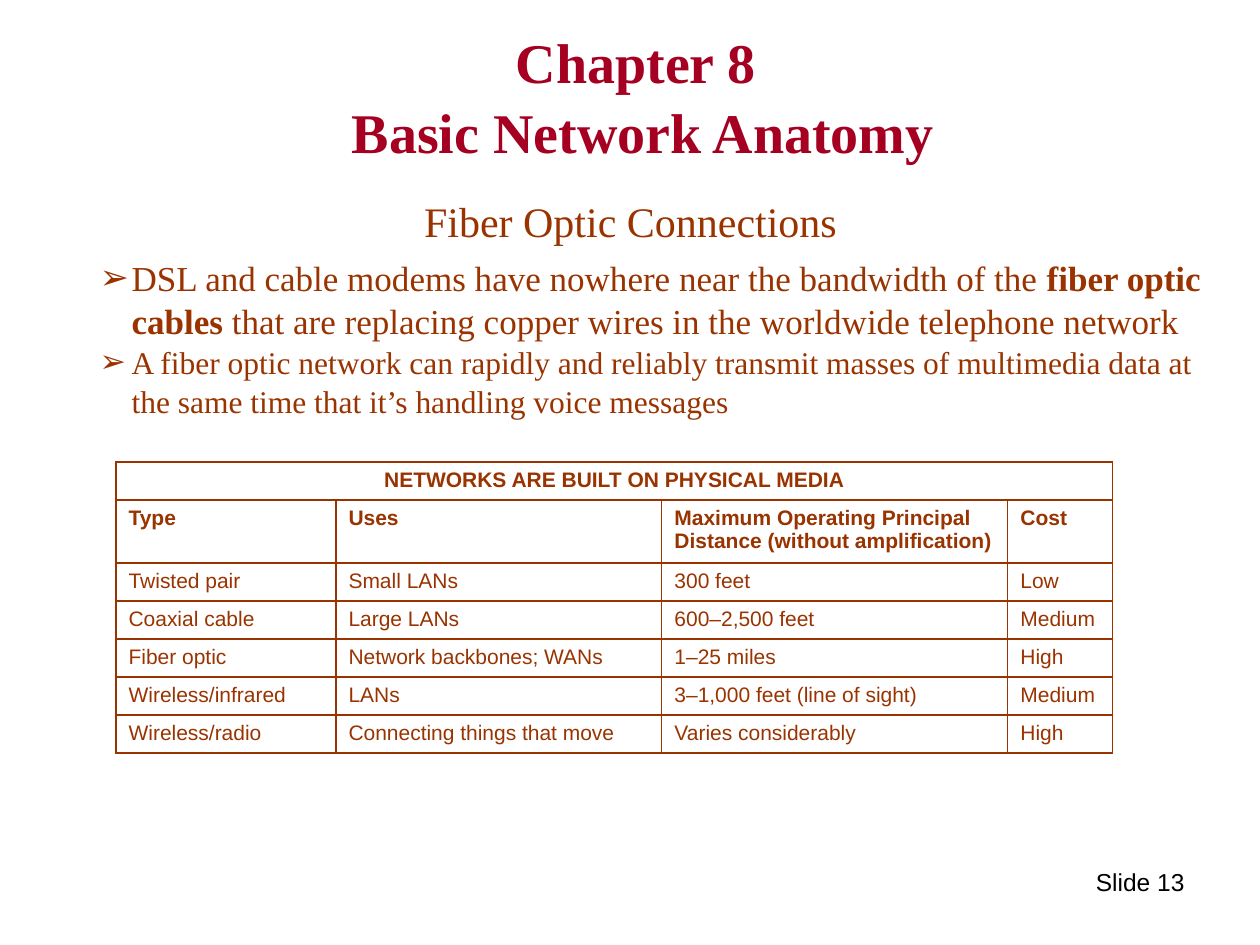
import pptx
import pptx.util
import pptx.dml.color
import pptx.enum.text
import pptx.oxml
import pptx.oxml.ns

RED = pptx.dml.color.RGBColor(0xA5, 0x00, 0x21)
RUST = pptx.dml.color.RGBColor(0x99, 0x33, 0x00)
BLACK = pptx.dml.color.RGBColor(0, 0, 0)
WHITE = pptx.dml.color.RGBColor(255, 255, 255)
ALIGN = pptx.enum.text.PP_ALIGN
ANCHOR = pptx.enum.text.MSO_ANCHOR
SERIF = "Times New Roman"
SANS = "Arial"
SCALE = 914400 / 126


def px(size):
    return round(size * SCALE)


def node(tag, inner="", attrs=""):
    space = pptx.oxml.ns.nsdecls("a")
    return pptx.oxml.parse_xml(f"<a:{tag} {space} {attrs}>{inner}</a:{tag}>")


class Deck:
    def __init__(self):
        self.show = pptx.Presentation()
        self.show.slide_width = px(1260)
        self.show.slide_height = px(945)
        self.slide = self.show.slides.add_slide(self.show.slide_layouts[1])

    def place(self, shape, box):
        shape.left, shape.top, shape.width, shape.height = map(px, box)
        frame = shape.text_frame
        frame.word_wrap = True
        frame.auto_size = pptx.enum.text.MSO_AUTO_SIZE.NONE
        return frame

    def run(self, para, text, face, size, color, bold=False):
        run = para.add_run()
        run.text = text
        font = run.font
        font.name = face
        font.size = pptx.util.Pt(size)
        font.bold = bold
        font.color.rgb = color

    def title(self, box, lines):
        frame = self.place(self.slide.shapes.title, box)
        frame.vertical_anchor = ANCHOR.MIDDLE
        para = frame.paragraphs[0]
        para.alignment = ALIGN.CENTER
        para.line_spacing = 1.04
        for i, line in enumerate(lines):
            if i:
                para.add_line_break()
            self.run(para, line, SERIF, 32, RED, True)

    def body(self, box, head, items):
        frame = self.place(self.slide.placeholders[1], box)
        frame.vertical_anchor = ANCHOR.TOP
        para = frame.paragraphs[0]
        para.alignment = ALIGN.CENTER
        para.line_spacing = 0.8
        para.space_before = pptx.util.Pt(0)
        props = para._p.get_or_add_pPr()
        props.set("marL", str(px(40)))
        props.set("indent", str(px(-40)))
        props.append(node("buNone"))
        self.run(para, head, SERIF, 24, RUST)
        for size, gap, parts in items:
            self.bullet(frame.add_paragraph(), size, gap, parts)

    def bullet(self, para, size, gap, parts):
        para.level = 1
        para.alignment = ALIGN.LEFT
        para.line_spacing = 1.04
        para.space_before = pptx.util.Pt(gap)
        props = para._p.get_or_add_pPr()
        props.set("marL", str(px(87)))
        props.set("indent", str(px(-32)))
        props.append(node("buClr", f'<a:srgbClr val="{RUST}"/>'))
        props.append(node("buFont", attrs=f'typeface="{SANS}"'))
        props.append(node("buChar", attrs='char="➢"'))
        for text, bold in parts:
            self.run(para, text, SERIF, size, RUST, bold)

    def label(self, box, text):
        frame = self.place(self.slide.shapes.add_textbox(0, 0, 0, 0), box)
        para = frame.paragraphs[0]
        para.alignment = ALIGN.RIGHT
        self.run(para, text, SANS, 14, BLACK)

    def border(self, cell):
        props = cell._tc.get_or_add_tcPr()
        fill = f'<a:solidFill><a:srgbClr val="{RUST}"/></a:solidFill>'
        for i, side in enumerate(("lnL", "lnR", "lnT", "lnB")):
            props.insert(i, node(side, fill, 'w="9525"'))

    def table(self, left, top, cols, highs, head, rows):
        box = map(px, (left, top, sum(cols), sum(highs)))
        grid = self.slide.shapes.add_table(len(highs), len(cols), *box).table
        grid.first_row = False
        grid.horz_banding = False
        for col, wide in zip(grid.columns, cols):
            col.width = px(wide)
        for row, high in zip(grid.rows, highs):
            row.height = px(high)
        grid.cell(0, 0).merge(grid.cell(0, len(cols) - 1))
        for cell in grid.iter_cells():
            cell.fill.solid()
            cell.fill.fore_color.rgb = WHITE
            self.border(cell)
        para = grid.cell(0, 0).text_frame.paragraphs[0]
        para.alignment = ALIGN.CENTER
        self.run(para, head, SANS, 12, RUST, True)
        for i, row in enumerate(rows, 1):
            for j, text in enumerate(row):
                para = grid.cell(i, j).text_frame.paragraphs[0]
                self.run(para, text, SANS, 12, RUST, i == 1)


def main():
    deck = Deck()
    deck.label((903, 861, 294, 65), "Slide 13")
    deck.title((53, 0, 1166, 189), ("Chapter 8", " Basic Network Anatomy"))
    deck.body((32, 199, 1197, 222), "Fiber Optic Connections", [
        (20, 5, [
            ("DSL and cable modems have nowhere near the bandwidth of the ", False),
            ("fiber optic cables", True),
            (" that are replacing copper wires in the worldwide telephone network", False),
        ]),
        (18, 0, [
            ("A fiber optic network can rapidly and reliably transmit masses of "
             "multimedia data at the same time that it’s handling voice messages", False),
        ]),
    ])
    deck.table(
        116, 462, (220, 326, 346, 105), (38, 63) + (38,) * 5,
        "NETWORKS ARE BUILT ON PHYSICAL MEDIA", [
            ("Type", "Uses",
             "Maximum Operating Principal Distance (without amplification)", "Cost"),
            ("Twisted pair", "Small LANs", "300 feet", "Low"),
            ("Coaxial cable", "Large LANs", "600–2,500 feet", "Medium"),
            ("Fiber optic", "Network backbones; WANs", "1–25 miles", "High"),
            ("Wireless/infrared", "LANs", "3–1,000 feet (line of sight)", "Medium"),
            ("Wireless/radio", "Connecting things that move", "Varies considerably", "High"),
        ])
    deck.show.save("out.pptx")


if __name__ == "__main__":
    main()
